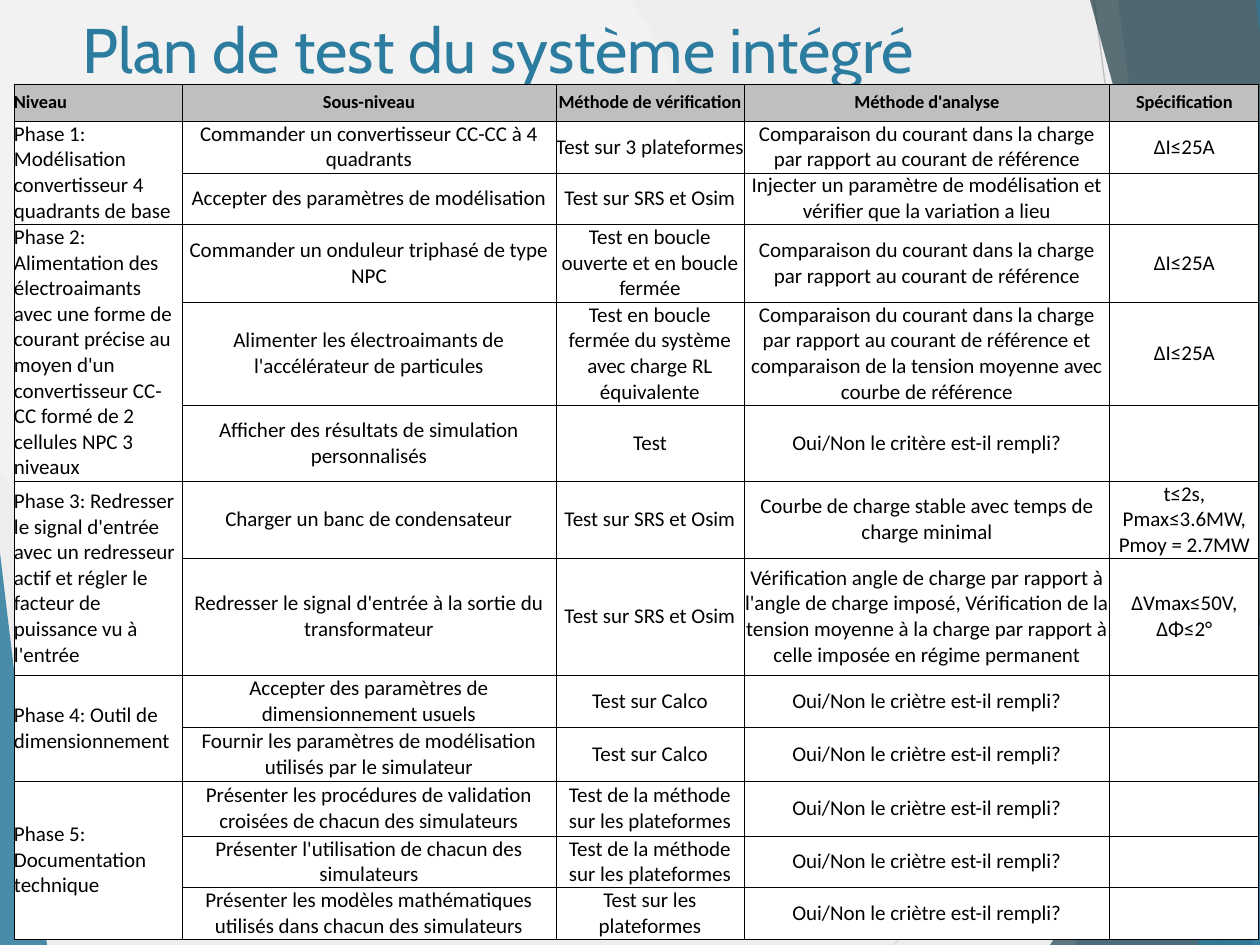
from dataclasses import dataclass

from lxml.etree import SubElement
from pptx import Presentation
from pptx.dml.color import RGBColor
from pptx.enum.shapes import MSO_CONNECTOR, MSO_SHAPE
from pptx.enum.text import MSO_ANCHOR, MSO_AUTO_SIZE, PP_ALIGN
from pptx.oxml import parse_xml
from pptx.oxml.ns import nsdecls, qn
from pptx.util import Pt

SCALE = 914400 / 126
WIDE, HIGH = 1260, 945
BLEED = 1386  # right edge of the decor, past the slide


@dataclass(frozen=True)
class Theme:
    blue: str = "2C7C9F"
    deep: str = "244A58"
    dark: str = "1B3842"
    sky: str = "6FB7D7"
    rule: str = "BFBFBF"
    pale: str = "D9D9D9"
    ink: str = "000000"
    head: str = "BFBFBF"
    body: str = "FFFFFF"
    back: tuple = ("F2F2F2", "EEEEEE")
    title_font: str = "Cabin"
    font: str = "Calibri"
    title_size: float = 36
    head_size: float = 10.5
    size: float = 12
    border: float = 0.5


def px(*nums):
    return [round(n * SCALE) for n in nums]


def put(item, **vals):
    for name, val in vals.items():
        setattr(item, name, val)


def paint(fill, tint):
    fill.solid()
    fill.fore_color.rgb = RGBColor.from_string(tint)


class Page:
    def __init__(self, deck, theme):
        self.theme = theme
        self.slide = deck.slides.add_slide(deck.slide_layouts[5])
        self.shapes = self.slide.shapes

    def ground(self):
        """Fill the background with a round gradient."""
        fill = self.slide.background.fill
        fill.gradient()
        for stop, tint in zip(fill.gradient_stops, self.theme.back):
            stop.color.rgb = RGBColor.from_string(tint)
        old = next(self.slide.element.iter(qn("a:lin")))
        old.getparent().replace(old, parse_xml(
            f'<a:path {nsdecls("a")} path="circle"><a:fillToRect l="50000" '
            't="50000" r="100000" b="100000"/></a:path>'))

    def line(self, ends, tint):
        link = self.shapes.add_connector(MSO_CONNECTOR.STRAIGHT, *px(*ends))
        paint(link.line.fill, tint)
        link.line.width = Pt(0.75)
        SubElement(link.element.spPr, qn("a:effectLst"))

    def glaze(self, shape, tint, alpha):
        """Give a shape a see-through fill without outline."""
        shape.shadow.inherit = False
        paint(shape.fill, tint)
        shape.line.fill.background()
        hue = next(shape.element.spPr.iter(qn("a:srgbClr")))
        SubElement(hue, qn("a:alpha"), val=str(alpha * 1000))

    def wedge(self, top, foot, tint, alpha):
        """Draw a full-height band from a slanted edge to the bleed."""
        pen = self.shapes.build_freeform(top, 0, scale=SCALE)
        pen.add_line_segments([(BLEED, 0), (BLEED, HIGH), (foot, HIGH)])
        self.glaze(pen.convert_to_shape(), tint, alpha)

    def spike(self, box, peak, tint, alpha):
        shape = self.shapes.add_shape(MSO_SHAPE.ISOSCELES_TRIANGLE, *px(*box))
        shape.adjustments[0] = peak
        self.glaze(shape, tint, alpha)

    def label(self, frame, text, font, size, tint, align, bold=False):
        para = frame.paragraphs[0]
        para.alignment = align
        run = para.add_run()
        run.text = text
        put(run.font, name=font, size=Pt(size), bold=bold)
        run.font.color.rgb = RGBColor.from_string(tint)

    def title(self, text, box):
        look = self.theme
        shape = self.shapes.title
        shape.element.getparent().append(shape.element)  # above the decor
        put(shape, **dict(zip(("left", "top", "width", "height"), px(*box))))
        put(shape.text_frame, word_wrap=True, auto_size=MSO_AUTO_SIZE.NONE,
            vertical_anchor=MSO_ANCHOR.MIDDLE)
        self.label(shape.text_frame, text, look.title_font, look.title_size,
                   look.blue, PP_ALIGN.LEFT)

    def cell(self, cell, text, align, head):
        look = self.theme
        put(cell, margin_left=0, margin_right=0, margin_top=0,
            margin_bottom=0, vertical_anchor=MSO_ANCHOR.MIDDLE)
        paint(cell.fill, look.head if head else look.body)
        for spot, side in enumerate("LRTB"):
            cell._tc.tcPr.insert(spot, parse_xml(
                f'<a:ln{side} {nsdecls("a")} w="{Pt(look.border)}"><a:solidFill>'
                f'<a:srgbClr val="{look.ink}"/></a:solidFill></a:ln{side}>'))
        if text:
            self.label(cell.text_frame, text, look.font,
                       look.head_size if head else look.size,
                       look.ink, align, head)

    def table(self, left, top, cols, rows, heads, phases):
        box = px(left, top, sum(cols), sum(rows))
        grid = self.shapes.add_table(len(rows), len(cols), *box).table
        put(grid, first_row=False, horz_banding=False)
        for col, wide in zip(grid.columns, px(*cols)):
            col.width = wide
        for row, high in zip(grid.rows, px(*rows)):
            row.height = high
        lines = [heads]
        for name, tests in phases:
            first = len(lines)
            lines += [(name if n == 0 else "", *test)
                      for n, test in enumerate(tests)]
            grid.cell(first, 0).merge(grid.cell(len(lines) - 1, 0))
        for r, line in enumerate(lines):
            for c, text in enumerate(line):
                align = PP_ALIGN.CENTER if c else PP_ALIGN.LEFT
                self.cell(grid.cell(r, c), text, align, r == 0)


COLS = 168, 374, 188, 366, 149
ROWS = 37, 52, 51, 78, 103, 76, 77, 117, 52, 54, 55, 51, 52
HEADS = ("Niveau", "Sous-niveau", "Méthode de vérification",
         "Méthode d'analyse", "Spécification")
LOAD = "Comparaison du courant dans la charge par rapport au courant de référence"
LIMIT = "ΔI≤25A"
BOTH = "Test sur SRS et Osim"
SHEET = "Test sur Calco"
METHOD = "Test de la méthode sur les plateformes"
ASK = "Oui/Non le criètre est-il rempli?"
PHASES = [
    ("Phase 1: Modélisation convertisseur 4 quadrants de base", [
        ("Commander un convertisseur CC-CC à 4 quadrants",
         "Test sur 3 plateformes", LOAD, LIMIT),
        ("Accepter des paramètres de modélisation", BOTH,
         "Injecter un paramètre de modélisation et vérifier que la variation a lieu", "")]),
    ("Phase 2: Alimentation des électroaimants avec une forme de courant précise "
     "au moyen d'un convertisseur CC-CC formé de 2 cellules NPC 3 niveaux", [
        ("Commander un onduleur triphasé de type NPC",
         "Test en boucle ouverte et en boucle fermée", LOAD, LIMIT),
        ("Alimenter les électroaimants de l'accélérateur de particules",
         "Test en boucle fermée du système avec charge RL équivalente",
         LOAD + " et comparaison de la tension moyenne avec courbe de référence", LIMIT),
        ("Afficher des résultats de simulation personnalisés", "Test",
         "Oui/Non le critère est-il rempli?", "")]),
    ("Phase 3: Redresser le signal d'entrée avec un redresseur actif et régler "
     "le facteur de puissance vu à l'entrée", [
        ("Charger un banc de condensateur", BOTH,
         "Courbe de charge stable avec temps de charge minimal",
         "t≤2s, Pmax≤3.6MW, Pmoy = 2.7MW"),
        ("Redresser le signal d'entrée à la sortie du transformateur", BOTH,
         "Vérification angle de charge par rapport à l'angle de charge imposé, "
         "Vérification de la tension moyenne à la charge par rapport à celle "
         "imposée en régime permanent", "ΔVmax≤50V, ΔΦ≤2°")]),
    ("Phase 4: Outil de dimensionnement", [
        ("Accepter des paramètres de dimensionnement usuels", SHEET, ASK, ""),
        ("Fournir les paramètres de modélisation utilisés par le simulateur",
         SHEET, ASK, "")]),
    ("Phase 5: Documentation technique", [
        ("Présenter les procédures de validation croisées de chacun des simulateurs",
         METHOD, ASK, ""),
        ("Présenter l'utilisation de chacun des simulateurs", METHOD, ASK, ""),
        ("Présenter les modèles mathématiques utilisés dans chacun des simulateurs",
         "Test sur les plateformes", ASK, "")]),
]


def main():
    deck = Presentation()
    wide, high = px(WIDE, HIGH)
    put(deck, slide_width=wide, slide_height=high)
    look = Theme()
    page = Page(deck, look)
    page.ground()
    page.line((1094, 0, 1220, HIGH), look.rule)
    page.line((BLEED, 508, 893, HIGH), look.pale)
    page.wedge(1286, 1075, look.blue, 30)
    page.wedge(1118, 1244, look.blue, 20)
    page.spike((1050, 420, 336, 525), 1, look.deep, 72)
    page.wedge(1090, 1346, look.dark, 70)
    page.wedge(1357, 1252, look.sky, 70)
    page.wedge(1256, 1371, look.blue, 65)
    page.spike((1197, 495, 188, 450), 1, look.blue, 80)
    page.spike((0, 553, 47, 392), 0, look.blue, 85)
    page.title("Plan de test du système intégré", (70, 4, 1008, 89))
    page.table(14, 84, COLS, ROWS, HEADS, PHASES)
    deck.save("out.pptx")


if __name__ == "__main__":
    main()
